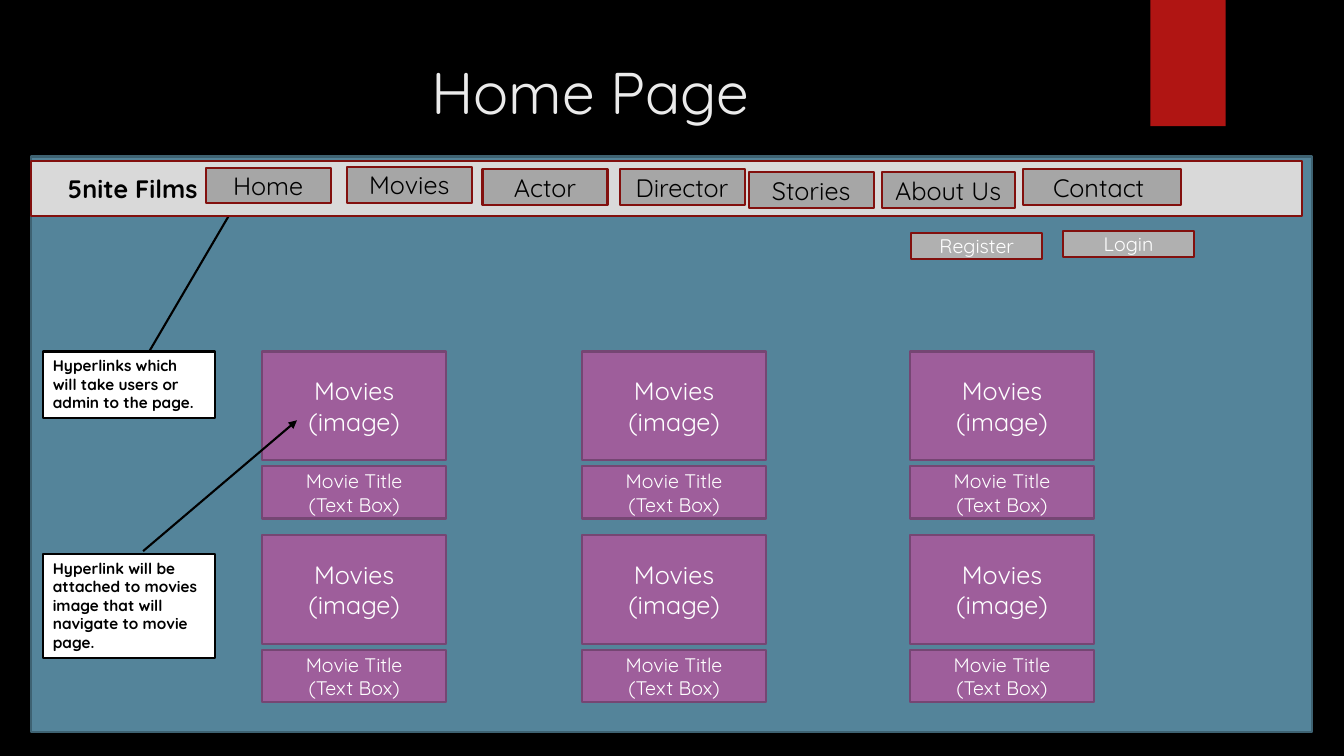
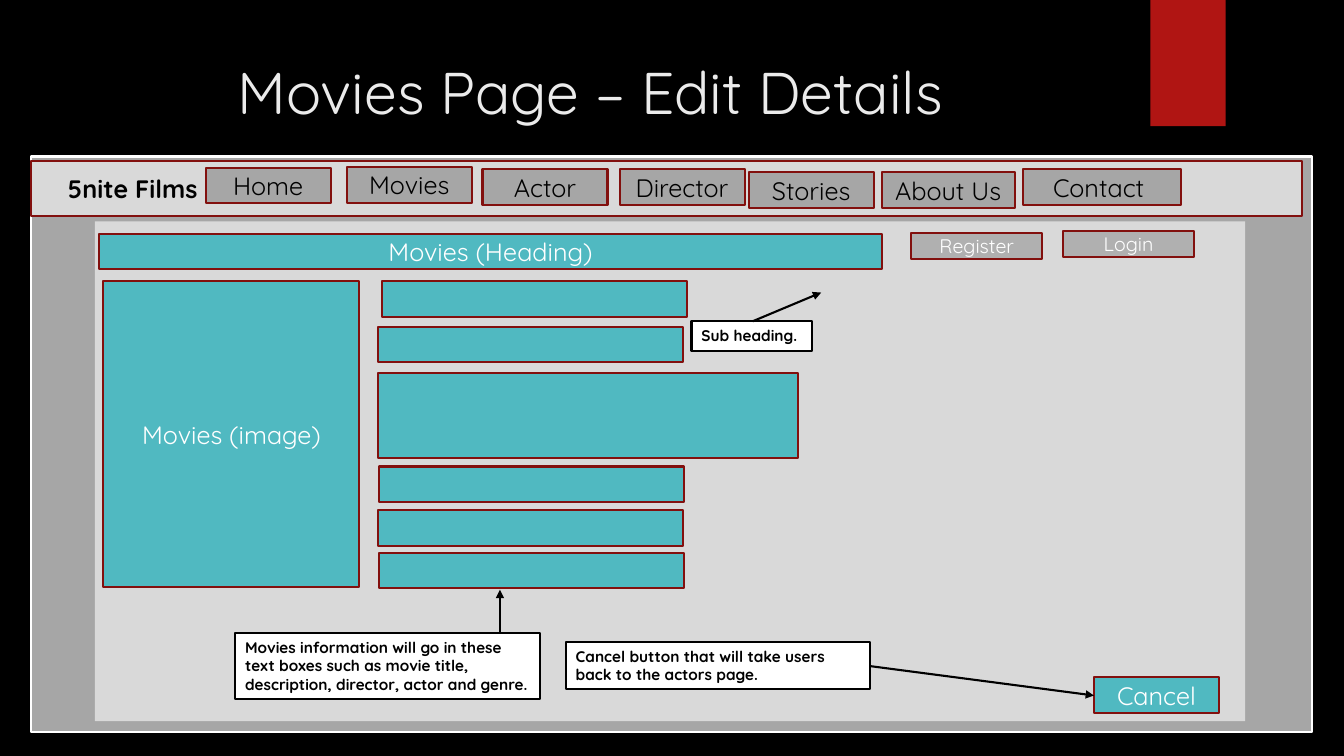
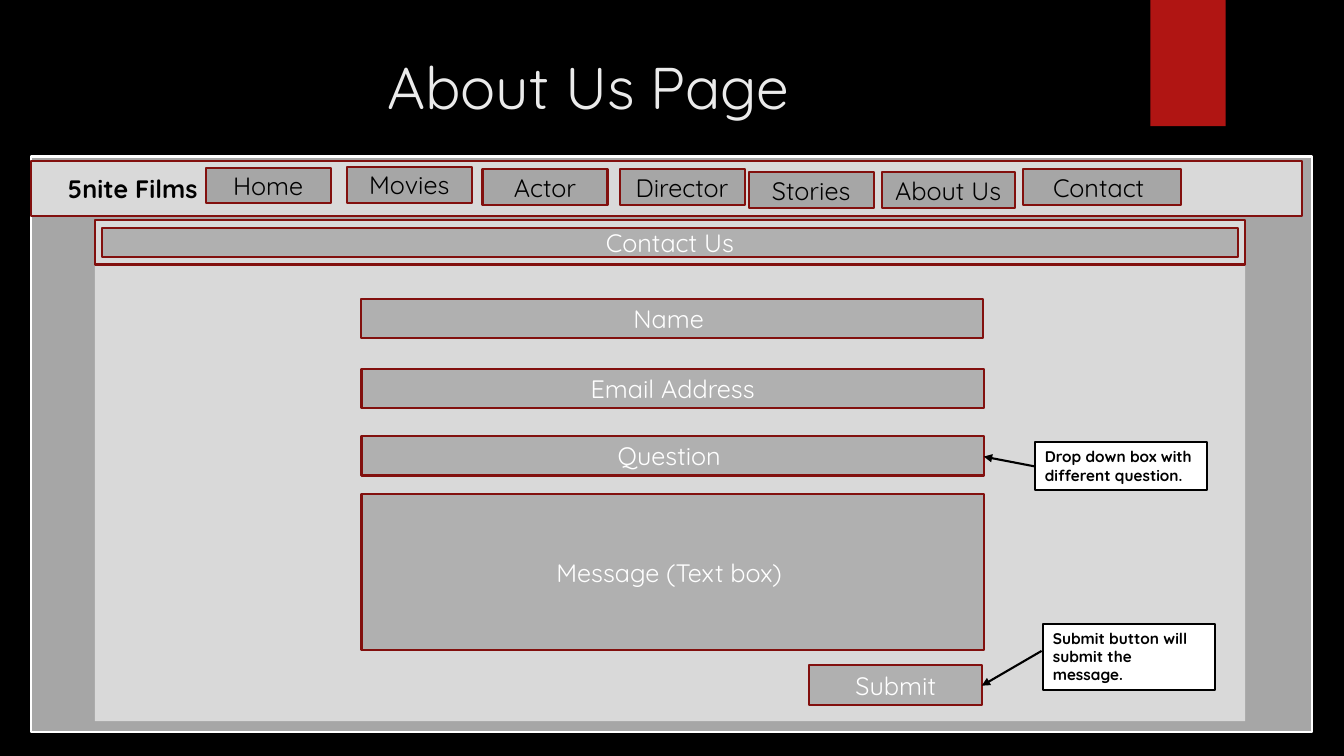
from lxml import etree
from pptx import Presentation
from pptx.dml.color import RGBColor
from pptx.enum.shapes import MSO_CONNECTOR, MSO_SHAPE
from pptx.enum.text import MSO_ANCHOR, MSO_AUTO_SIZE, PP_ALIGN
from pptx.oxml.ns import qn
from pptx.util import Inches, Pt

# The grid has 100 columns and 100 rows, so every length is a percentage.
WIDTH, HEIGHT = Inches(13.33), Inches(7.5)
FONT = "Quicksand"
COLOURS = {
    "black": "000000",
    "white": "FFFFFF",
    "title": "EBEBEB",
    "tab": "B01513",
    "outline": "82100E",
    "page": "D9D9D9",
    "frame": "A6A6A6",
    "field": "B0B0B0",
    "teal": "50B9C1",
    "blue": "54849A",
    "blue outline": "3E6272",
    "purple": "9E5E9B",
    "purple outline": "754673",
}
PAGE_LEFT, PAGE_WIDTH = 7.05, 85.6
BUTTON_WIDTH, BUTTON_HEIGHT = 9.3, 4.7
NAVIGATION = [
    ("Home", 15.3, 22.2, BUTTON_WIDTH),
    ("Movies", 25.8, 22.1, BUTTON_WIDTH),
    ("Actor", 35.9, 22.4, BUTTON_WIDTH),
    ("Director", 46.1, 22.4, BUTTON_WIDTH),
    ("Stories", 55.7, 22.8, BUTTON_WIDTH),
    ("About Us", 65.6, 22.8, 9.9),
    ("Contact ", 76.1, 22.4, 11.8),
]


def across(columns):
    return round(WIDTH * columns / 100)


def down(rows):
    return round(HEIGHT * rows / 100)


def place(left, top, width, height):
    return across(left), down(top), across(width), down(height)


def colour(name):
    return RGBColor.from_string(COLOURS[name])


def write(shape, text, size=18, ink="white", bold=False,
          align=PP_ALIGN.CENTER, anchor=MSO_ANCHOR.MIDDLE):
    """Fill a shape with text, one paragraph for each line."""
    frame = shape.text_frame
    frame.word_wrap = True
    frame.vertical_anchor = anchor
    frame.text = text
    for paragraph in frame.paragraphs:
        paragraph.alignment = align
        font = paragraph.font
        font.name, font.size, font.bold = FONT, Pt(size), bold
        font.color.rgb = colour(ink)
    return frame


def add_box(slide, area, fill, outline="outline", text="", **text_format):
    shape = slide.shapes.add_shape(MSO_SHAPE.RECTANGLE, *place(*area))
    shape.shadow.inherit = False
    shape.fill.solid()
    shape.fill.fore_color.rgb = colour(fill)
    if outline:
        shape.line.color.rgb = colour(outline)
        shape.line.width = Pt(1.5)
    else:
        shape.line.fill.background()
    if text:
        write(shape, text, **text_format)
    return shape


def add_callout(slide, area, text, start, end):
    """Add a white note and the arrow that leads from it."""
    note = add_box(slide, area, "white", "black", text, size=11, ink="black",
                   bold=True, align=PP_ALIGN.LEFT, anchor=MSO_ANCHOR.TOP)
    note.text_frame.auto_size = MSO_AUTO_SIZE.SHAPE_TO_FIT_TEXT
    arrow = slide.shapes.add_connector(
        MSO_CONNECTOR.STRAIGHT, across(start[0]), down(start[1]),
        across(end[0]), down(end[1]))
    arrow.line.color.rgb = colour("black")
    arrow.line.width = Pt(1.5)
    properties = arrow._element.spPr
    etree.SubElement(properties.find(qn("a:ln")), qn("a:tailEnd"), type="triangle")
    etree.SubElement(properties, qn("a:effectLst"))


def add_navigation(slide):
    bar = add_box(slide, (2.3, 21.3, 94.6, 7.3), "page", text="5nite Films",
                  ink="black", bold=True, align=PP_ALIGN.LEFT)
    bar.text_frame.margin_left = across(2.75)
    for label, left, top, width in NAVIGATION:
        add_box(slide, (left, top, width, BUTTON_HEIGHT), "frame",
                text=label, ink="black")


def add_account_buttons(slide):
    for label, left, top in [("Register", 67.8, 30.8), ("Login", 79.1, 30.5)]:
        add_box(slide, (left, top, 9.75, 3.5), "field", text=label, size=14)


def add_page(slide):
    add_box(slide, (PAGE_LEFT, 29.3, PAGE_WIDTH, 66.1), "page", None)


def start_slide(presentation, title, title_area=(5.3, 6.7, 77.2, 20.4),
                fill="frame", outline="white"):
    """Add a slide with the red tab, the title and the browser frame."""
    slide = presentation.slides.add_slide(presentation.slide_layouts[6])
    add_box(slide, (85.6, 0, 5.6, 16.7), "tab", None)
    write(slide.shapes.add_textbox(*place(*title_area)), title,
          size=42, ink="title", anchor=MSO_ANCHOR.TOP)
    add_box(slide, (2.3, 20.7, 95.3, 76.1), fill, outline)
    return slide


def build_home(presentation):
    slide = start_slide(presentation, "Home Page", fill="blue",
                        outline="blue outline")
    for row in range(2):
        offset = row * 24.3
        for left in (19.5, 43.3, 67.7):
            add_box(slide, (left, 46.5 + offset, 13.7, 14.4), "purple",
                    "purple outline", "Movies\n(image)")
            add_box(slide, (left, 61.7 + offset, 13.7, 6.9), "purple",
                    "purple outline", "Movie Title\n(Text Box)", size=14)
    add_callout(slide, (3.2, 46.5, 12.8, 8.8),
                "Hyperlinks which will take users or admin to the page.",
                (11.1, 46.5), (17.5, 27.1))
    add_callout(slide, (3.2, 73.3, 12.8, 13.7),
                "Hyperlink will be attached to movies image that will "
                "navigate to movie page.",
                (10.65, 72.9), (22.1, 55.6))
    add_navigation(slide)
    add_account_buttons(slide)


def build_movie_details(presentation):
    slide = start_slide(presentation, "Movies Page – Edit Details")
    add_page(slide)
    add_box(slide, (7.35, 30.9, 58.3, BUTTON_HEIGHT), "teal",
            text="Movies (Heading)")
    add_box(slide, (7.7, 37.2, 19.05, 40.5), "teal", text="Movies (image)")
    for left, top in [(28.4, 37.2), (28.1, 43.2), (28.2, 61.7),
                      (28.1, 67.5), (28.2, 73.1)]:
        add_box(slide, (left, top, 22.7, BUTTON_HEIGHT), "teal")
    add_box(slide, (28.1, 49.3, 31.3, 11.3), "teal")
    add_box(slide, (81.4, 89.6, BUTTON_WIDTH, BUTTON_HEIGHT), "teal",
            text="Cancel")
    add_callout(slide, (17.5, 83.7, 22.65, 8.8),
                "Movies information will go in these text boxes such as "
                "movie title, description, director, actor and genre.",
                (37.2, 83.6), (37.2, 78))
    add_callout(slide, (42.1, 84.9, 22.65, 6.3),
                "Cancel button that will take users back to the actors page.",
                (64.7, 88.1), (81.4, 92))
    add_callout(slide, (51.45, 42.5, 8.95, 3.9), "Sub heading.",
                (56, 42.5), (61.1, 38.7))
    add_navigation(slide)
    add_account_buttons(slide)


def build_about(presentation):
    slide = start_slide(presentation, "About Us Page", (5, 6, 77.5, 21))
    add_page(slide)
    add_box(slide, (PAGE_LEFT, 29.1, PAGE_WIDTH, 5.9), "page")
    for label, left, top, width, height in [
        ("Contact Us", 7.6, 30.1, 84.5, 3.9),
        ("Name ", 26.85, 39.5, 46.3, 5.2),
        ("Email Address", 26.9, 48.8, 46.3, 5.2),
        ("Question ", 26.9, 57.7, 46.3, 5.2),
        ("Message (Text box) ", 26.9, 65.3, 46.3, 20.7),
        ("Submit", 60.2, 88, 12.9, 5.2),
    ]:
        add_box(slide, (left, top, width, height), "field", text=label)
    add_callout(slide, (77.6, 82.5, 12.8, 8.8),
                "Submit button will submit the message.",
                (77.5, 86.1), (73.05, 90.7))
    add_callout(slide, (77, 58.5, 12.8, 6.3),
                "Drop down box with different question.",
                (77, 61.7), (73.2, 60.4))
    add_navigation(slide)


def main():
    presentation = Presentation()
    presentation.slide_width, presentation.slide_height = WIDTH, HEIGHT
    background = presentation.slide_master.background.fill
    background.solid()
    background.fore_color.rgb = colour("black")
    build_home(presentation)
    build_movie_details(presentation)
    build_about(presentation)
    presentation.save("out.pptx")


if __name__ == "__main__":
    main()
